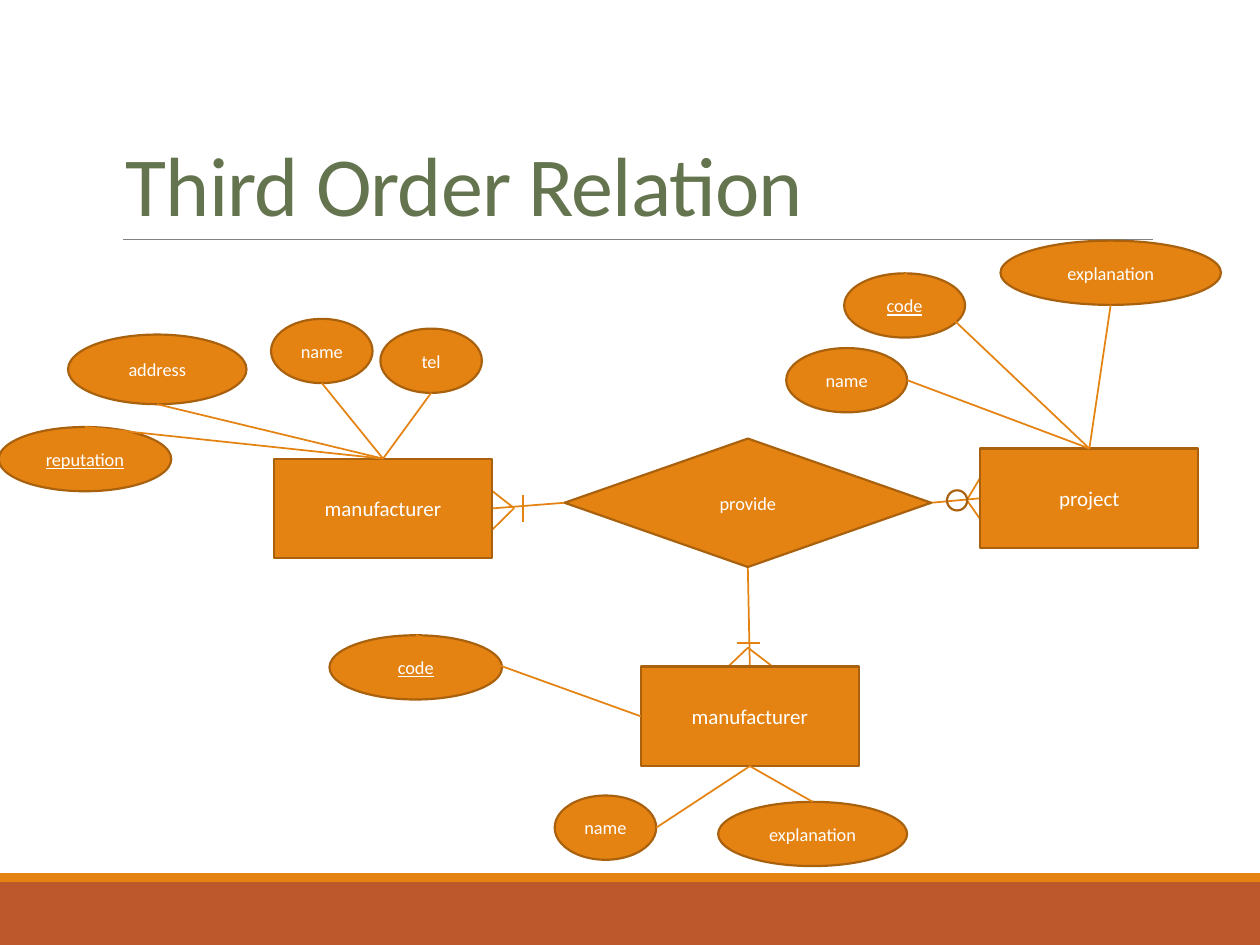
import pptx
import pptx.util
import pptx.dml.color
import pptx.enum.shapes
import pptx.enum.text
import pptx.oxml

Pt = pptx.util.Pt
MSO_SHAPE = pptx.enum.shapes.MSO_SHAPE
ANCHOR = pptx.enum.text.MSO_ANCHOR
hex_color = pptx.dml.color.RGBColor.from_string
ORANGE, BROWN, WHITE = "E48312", "A9610D", "FFFFFF"
EFFECT_LIST = '<a:effectLst xmlns:a="http://schemas.openxmlformats.org/drawingml/2006/main"/>'

deck = pptx.Presentation()
deck.slide_width, deck.slide_height = Pt(720), Pt(540)
slide = deck.slides.add_slide(deck.slide_layouts[6])


def add_figure(kind, box, fill=ORANGE, outline=BROWN, label="", size=10.5, underline=None):
    figure = slide.shapes.add_shape(kind, *map(Pt, box))
    figure.shadow.inherit = False
    if fill:
        figure.fill.solid()
        figure.fill.fore_color.rgb = hex_color(fill)
    else:
        figure.fill.background()
    if outline:
        figure.line.color.rgb = hex_color(outline)
        figure.line.width = Pt(1.25)
    else:
        figure.line.fill.background()
    if label:
        frame = figure.text_frame
        frame_format = {"word_wrap": False, "vertical_anchor": ANCHOR.MIDDLE,
                        "margin_left": 0, "margin_right": 0}
        for key, value in frame_format.items():
            setattr(frame, key, value)
        paragraph = frame.paragraphs[0]
        paragraph.alignment = pptx.enum.text.PP_ALIGN.CENTER
        run = paragraph.add_run()
        run.text = label
        font_format = {"name": "Calibri", "size": Pt(size), "underline": underline}
        for key, value in font_format.items():
            setattr(run.font, key, value)
        run.font.color.rgb = hex_color(WHITE)


def add_line(start, end, color=ORANGE, width=1):
    line = slide.shapes.add_connector(pptx.enum.shapes.MSO_CONNECTOR.STRAIGHT,
                                      *map(Pt, (*start, *end)))
    line.line.color.rgb = hex_color(color)
    line.line.width = Pt(width)
    line._element.spPr.append(pptx.oxml.parse_xml(EFFECT_LIST))


# Footer bands and title rule
add_figure(MSO_SHAPE.RECTANGLE, (0, 504, 720, 36), "BD582C", None)
add_figure(MSO_SHAPE.RECTANGLE, (0, 499, 720, 5), ORANGE, None)
add_line((70.5, 136.8), (658.8, 136.8), "808080", 0.5)

# Title
title = slide.shapes.add_textbox(Pt(64.8), Pt(22.3), Pt(594), Pt(114.5)).text_frame
title.word_wrap = True
title.vertical_anchor = ANCHOR.BOTTOM
title.paragraphs[0].line_spacing = 0.85
heading = title.paragraphs[0].add_run()
heading.text = "Third Order Relation"
for key, value in {"name": "Calibri", "size": Pt(48)}.items():
    setattr(heading.font, key, value)
heading.font.color.rgb = hex_color("64744E")
heading._r.get_or_add_rPr().set("spc", "-50")

# Connection sites as fractions of a shape's width and height
SITES = {"top": (0.5, 0), "bottom": (0.5, 1), "left": (0, 0.5), "right": (1, 0.5)}
relation = (322.6, 250.6, 209.5, 73.4)
ENTITY_W, ENTITY_H, ATTRIBUTE_H = 124.6, 56.9, 36.7

# Entity: name, left, top, site facing the relation, relation site, attributes
# Attribute: name, left, top, width, height, key, site, entity site
entities = [
    ("project", 560.2, 256.3, "left", "right", [
        ("explanation", 571.7, 137.5, 126, ATTRIBUTE_H, None, "bottom", "top"),
        ("code", 482.4, 156.2, 69.1, ATTRIBUTE_H, True, "top", "top"),
        ("name", 449.3, 198.9, 69.1, ATTRIBUTE_H, None, "right", "top")]),
    ("manufacturer", 156.6, 262.1, "right", "left", [
        ("address", 38.9, 191.2, 102, 39.8, None, "bottom", "top"),
        ("name", 154.9, 182.2, 58, ATTRIBUTE_H, None, "bottom", "top"),
        ("reputation", -0.7, 244, 98.6, ATTRIBUTE_H, True, "top", "top"),
        ("tel", 217.4, 187.8, 58, ATTRIBUTE_H, None, "bottom", "top")]),
    ("manufacturer", 366.2, 380.9, "top", "bottom", [
        ("name", 317, 454.6, 58, ATTRIBUTE_H, None, "right", "bottom"),
        ("code", 188.3, 363, 98.6, ATTRIBUTE_H, True, "top", "left"),
        ("explanation", 410.4, 458.2, 108, ATTRIBUTE_H, None, "top", "bottom")]),
]

# Links from the relation, then crow's feet and bars
links = []
for name, left, top, site, relation_site, attributes in entities:
    entity = (left, top, ENTITY_W, ENTITY_H)
    links.append((entity, site, relation, relation_site))
    for _, *box, _, attribute_site, entity_site in attributes:
        links.append((entity, entity_site, tuple(box), attribute_site))
ends = [[(x + w * SITES[site][0], y + h * SITES[site][1])
         for (x, y, w, h), site in (link[:2], link[2:])] for link in links]
relation_ends = [pair for pair, link in zip(ends, links) if link[2] == relation]
attribute_ends = [pair for pair in ends if pair not in relation_ends]

cardinality_marks = [
    ((293.8, 290.4), (281.6, 280.8)), ((293.8, 290.4), (281.6, 302.4)),
    ((298.8, 283), (298.8, 298.1)),
    ((560.2, 272.9), (552.5, 285.8)), ((552.5, 285.8), (560.2, 296.8)),
    ((440.6, 380.2), (427.4, 370.1)), ((427.4, 370.1), (414.7, 382.3)),
    ((434.2, 367.4), (421.2, 367.4)),
]
for start, end in relation_ends + cardinality_marks:
    add_line(start, end)
add_figure(MSO_SHAPE.OVAL, (541.2, 280.2, 11.5, 11.5), None)

# Relation, entities and attributes
add_figure(MSO_SHAPE.DIAMOND, relation, label="provide")
for name, left, top, _, _, attributes in entities:
    add_figure(MSO_SHAPE.RECTANGLE, (left, top, ENTITY_W, ENTITY_H), label=name, size=12)
    for attribute, *box, key, _, _ in attributes:
        add_figure(MSO_SHAPE.OVAL, box, label=attribute, underline=key)

# Links from entities to attributes
for start, end in attribute_ends:
    add_line(start, end)

deck.save("out.pptx")
